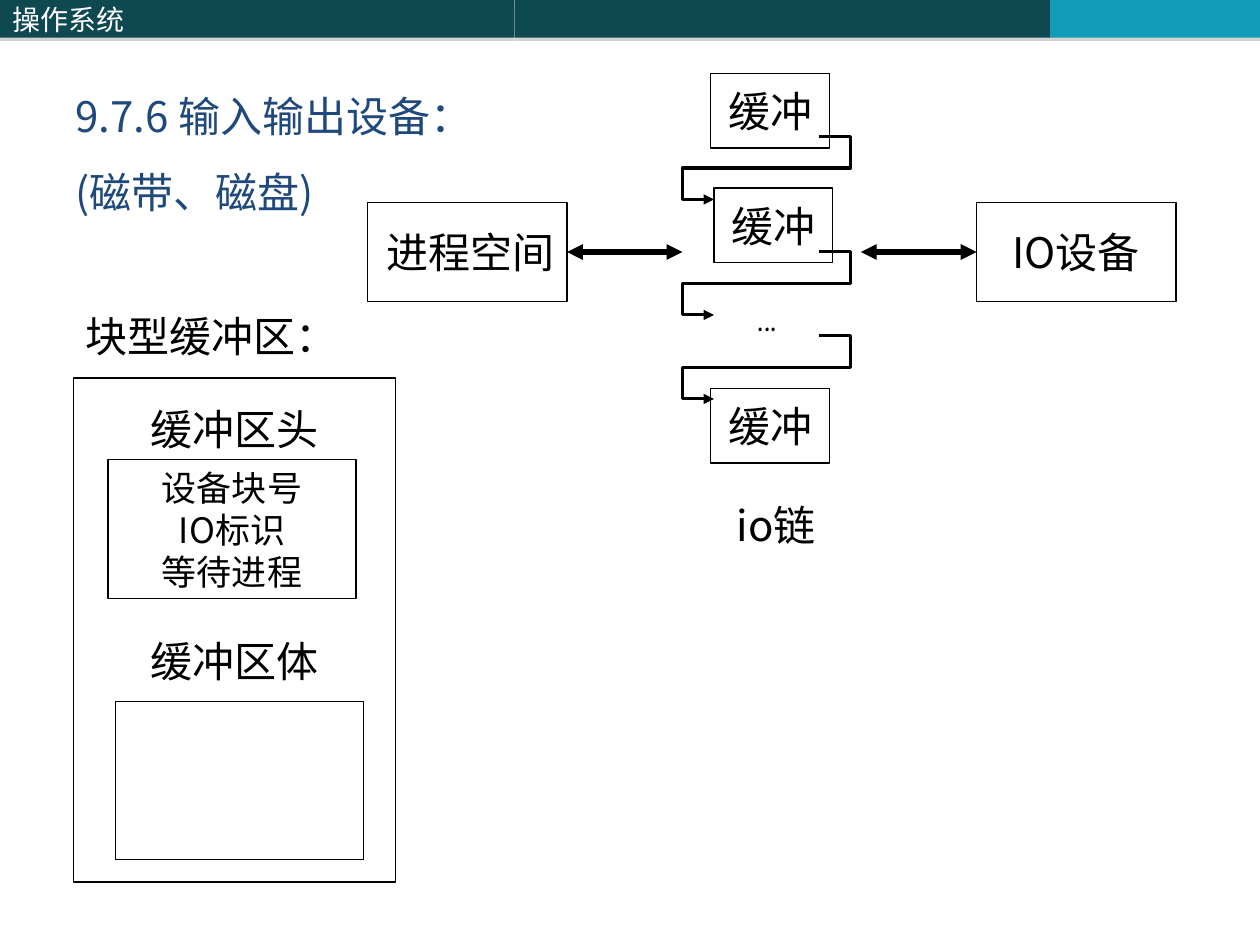
import pptx
import pptx.util
import pptx.dml.color
import pptx.enum.shapes
import pptx.enum.text
import lxml.etree

NS = "http://schemas.openxmlformats.org/drawingml/2006/main"
SANS = "Noto Sans CJK SC"
RECT = pptx.enum.shapes.MSO_SHAPE.RECTANGLE
MID = pptx.enum.text.MSO_ANCHOR.MIDDLE
TOP = pptx.enum.text.MSO_ANCHOR.TOP
LEFT = pptx.enum.text.PP_ALIGN.LEFT
MIDDLE = pptx.enum.text.PP_ALIGN.CENTER
FIT = pptx.enum.text.MSO_AUTO_SIZE.SHAPE_TO_FIT_TEXT
ARROW = pptx.enum.shapes.MSO_CONNECTOR.STRAIGHT

deck = pptx.Presentation()
deck.slide_width = pptx.util.Inches(10)
deck.slide_height = pptx.util.Inches(7.5)
page = deck.slides.add_slide(deck.slide_layouts[6])
shapes = page.shapes
unit = deck.slide_width // 120


def paint(part, tint):
    part.solid()
    part.fore_color.rgb = pptx.dml.color.RGBColor.from_string(tint)


def write(shape, lines, size=24, tint="000000", face=SANS, align=MIDDLE, gap=0):
    frame = shape.text_frame
    for i, line in enumerate(lines):
        para = frame.add_paragraph() if i else frame.paragraphs[0]
        para.alignment = align
        if i and gap:
            para.space_before = pptx.util.Pt(gap)
        run = para.add_run()
        run.text = line
        run.font.size = pptx.util.Pt(size)
        paint(run.font.fill, tint)
        run.font.name = face
        east = lxml.etree.SubElement(run.font._element, f"{{{NS}}}ea")
        east.set("typeface", face)


bars = []
for col, wide, tint in [(0, 49, "0E4851"), (49, 51, "0E4851"), (100, 20, "139CB7")]:
    bar = shapes.add_shape(RECT, col * unit, 0, wide * unit, int(3.6 * unit))
    paint(bar.fill, tint)
    bar.line.fill.background()
    bar.shadow.inherit = False
    glow = bar._element.spPr.find(f"{{{NS}}}effectLst")
    shade = lxml.etree.SubElement(glow, f"{{{NS}}}outerShdw", dist="22860", dir="5400000", rotWithShape="0")
    grey = lxml.etree.SubElement(shade, f"{{{NS}}}srgbClr", val="808080")
    lxml.etree.SubElement(grey, f"{{{NS}}}alpha", val="35000")
    bars.append(bar)
bars[0].text_frame.vertical_anchor = MID
write(bars[0], ["操作系统"], 16, "FFFFFF", align=LEFT)

boxes = {}
for name, col, row, wide, high, lines, size in [
    ("block", 7, 36, 30.7, 48, ["缓冲区头", "缓冲区体"], 24),
    ("head", 10.3, 43.8, 23.6, 13.2, ["设备块号", "IO标识", "等待进程"], 20),
    ("body", 11, 66.8, 23.6, 15.1, [], 20),
    ("space", 35, 19.25, 19, 9.5, ["进程空间"], 24),
    ("device", 93, 19.25, 19, 9.5, ["IO设备"], 24),
    ("first", 67.7, 7, 11.3, 7.1, ["缓冲"], 24),
    ("second", 68, 17.9, 11.3, 7.1, ["缓冲"], 24),
    ("last", 67.7, 37, 11.3, 7.1, ["缓冲"], 24),
]:
    box = shapes.add_shape(RECT, *[int(n * unit) for n in (col, row, wide, high)])
    box.shadow.inherit = False
    paint(box.fill, "FFFFFF")
    paint(box.line.fill, "000000")
    box.line.width = pptx.util.Pt(0.75)
    frame = box.text_frame
    frame.word_wrap = False
    frame.vertical_anchor = MID
    frame.margin_left = frame.margin_right = pptx.util.Inches(0.06)
    write(box, lines, size, gap=104 if name == "block" else 0)
    boxes[name] = box
boxes["block"].text_frame.vertical_anchor = TOP
boxes["block"].text_frame.margin_top = pptx.util.Inches(0.2)
boxes["space"].text_frame.margin_left = pptx.util.Inches(0.12)

for col, row, wide, high, lines, tint, face in [
    (6, 8, 48, 13.3, ["9.7.6 输入输出设备：", "(磁带、磁盘)"], "1F497D", SANS),
    (7, 29, 27, 6, ["块型缓冲区："], "000000", SANS),
    (71, 27, 7, 6, ["..."], "000000", "Comic Neue"),
    (69, 47, 12, 10.8, ["io链"], "000000", SANS),
]:
    label = shapes.add_textbox(*[int(n * unit) for n in (col, row, wide, high)])
    label.text_frame.word_wrap = True
    label.text_frame.auto_size = FIT
    write(label, lines, 24, tint, face, LEFT, 15)

lines = []
for start, stop in [(54, 65), (82, 93)]:
    link = shapes.add_connector(ARROW, start * unit, 24 * unit, stop * unit, 24 * unit)
    lxml.etree.SubElement(link._element.spPr, f"{{{NS}}}effectLst")
    lines.append((link, 3, ["headEnd", "tailEnd"]))
lines[0][0].begin_connect(boxes["space"], 3)
lines[1][0].end_connect(boxes["device"], 1)

for row in (13, 24, 32):
    pen = shapes.build_freeform(78, row, scale=unit)
    pen.add_line_segments([(81, row), (81, row + 3), (65, row + 3), (65, row + 6), (68, row + 6)], close=False)
    chain = pen.convert_to_shape()
    chain.fill.background()
    chain.shadow.inherit = False
    lines.append((chain, 1.75, ["tailEnd"]))

for line, width, ends in lines:
    paint(line.line.fill, "000000")
    line.line.width = pptx.util.Pt(width)
    for end in ends:
        lxml.etree.SubElement(line.line._get_or_add_ln(), f"{{{NS}}}{end}", type="triangle")

deck.save("out.pptx")
